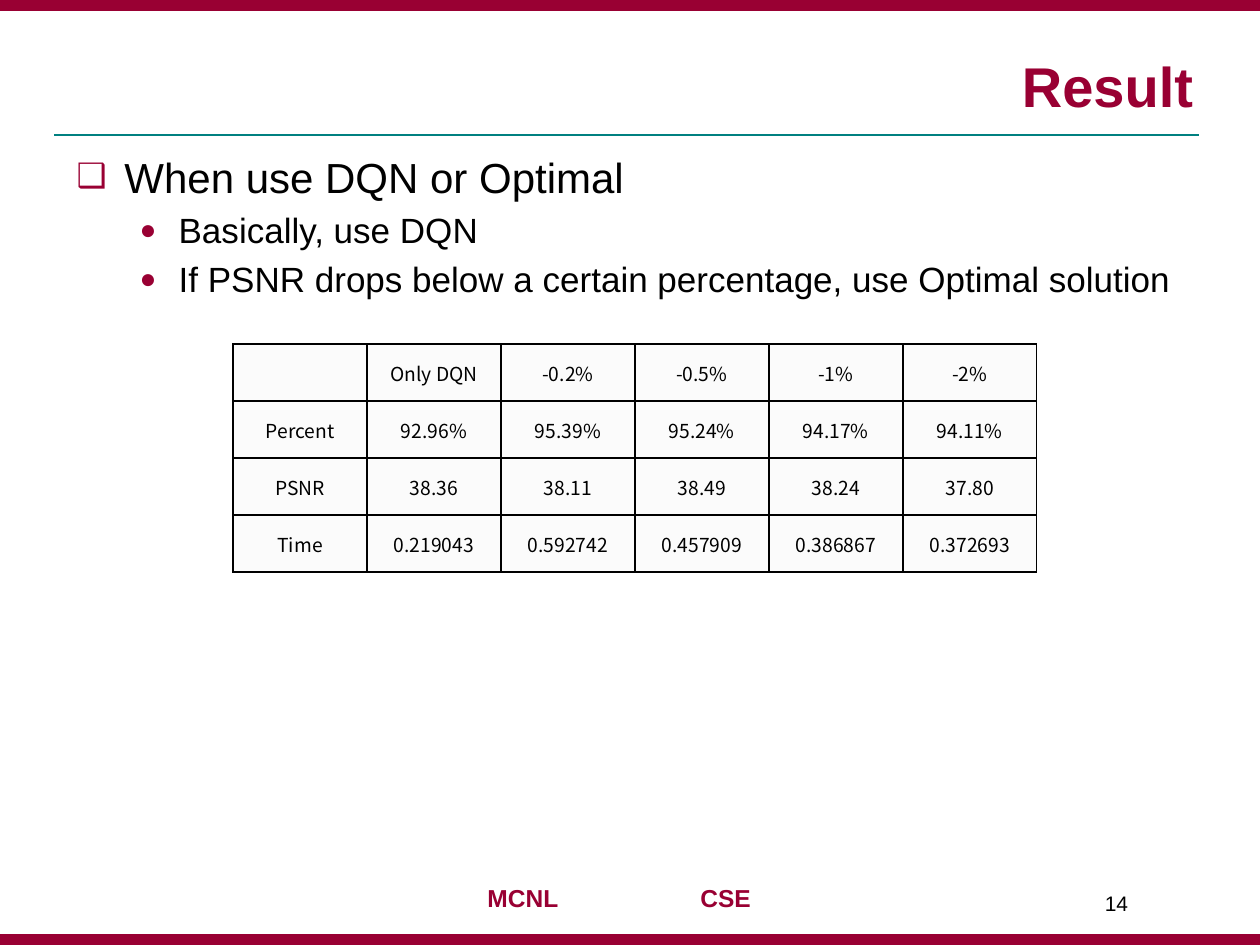
from lxml.etree import SubElement
from pptx import Presentation
from pptx.dml.color import RGBColor
from pptx.enum.shapes import MSO_CONNECTOR, MSO_SHAPE
from pptx.enum.text import MSO_ANCHOR, MSO_AUTO_SIZE, PP_ALIGN
from pptx.oxml import parse_xml
from pptx.oxml.ns import nsdecls, qn
from pptx.util import Inches, Pt

RED, TEAL, BLACK, PALE = "990033", "008080", "000000", "FBFBFB"


def color(text):
    """Turn a hex string into a colour."""
    return RGBColor.from_string(text)


def box(*sizes):
    """Turn inch values into lengths."""
    return [Inches(size) for size in sizes]


class Page:
    """Holds the style and the current slide."""

    font = "Arial"
    cell_font = "Noto Sans CJK KR"

    def __init__(self, deck):
        """Add a title-only slide to the deck."""
        self.slide = deck.slides.add_slide(deck.slide_layouts[5])
        self.shapes = self.slide.shapes

    def style(self, para, size, hue=BLACK, bold=False, font=None):
        """Format every run of a paragraph."""
        for run in para.runs:
            run.font.name = font or self.font
            run.font.size = Pt(size)
            run.font.bold = bold
            run.font.color.rgb = color(hue)

    def title(self, text, *place):
        """Fill and place the title."""
        head = self.shapes.title
        head.left, head.top, head.width, head.height = box(*place)
        frame = head.text_frame
        frame.text = text
        frame.auto_size = MSO_AUTO_SIZE.NONE
        frame.vertical_anchor = MSO_ANCHOR.BOTTOM
        frame.paragraphs[0].alignment = PP_ALIGN.RIGHT
        self.style(frame.paragraphs[0], 32, RED, True)

    def bar(self, *place):
        """Draw a solid red bar."""
        bar = self.shapes.add_shape(MSO_SHAPE.RECTANGLE, *box(*place))
        bar.shadow.inherit = False
        bar.fill.solid()
        bar.fill.fore_color.rgb = color(RED)
        bar.line.color.rgb = color(RED)
        bar.line.width = Pt(0.75)

    def rule(self, *ends):
        """Draw a thin teal line."""
        line = self.shapes.add_connector(MSO_CONNECTOR.STRAIGHT, *box(*ends))
        line.line.color.rgb = color(TEAL)
        line.line.width = Pt(1)
        SubElement(line._element.spPr, qn("a:effectLst"))

    def text(self, text, place, size, hue=BLACK, bold=False, tab=None):
        """Add a line of text, with a tab stop if given."""
        frame = self.shapes.add_textbox(*box(*place)).text_frame
        frame.word_wrap = True
        para = frame.paragraphs[0]
        para.text = text
        self.style(para, size, hue, bold)
        if tab:
            stops = SubElement(para._p.get_or_add_pPr(), qn("a:tabLst"))
            SubElement(stops, qn("a:tab"), pos=str(Inches(tab)), algn="l")

    def bullets(self, items, *place):
        """Add a list of (level, text) items."""
        looks = [(24, "\u2751", 0.38, 0.38), (20, "\u25cf", 0.81, 0.31)]
        frame = self.shapes.add_textbox(*box(*place)).text_frame
        frame.word_wrap = True
        for i, (level, text) in enumerate(items):
            size, mark, left, hang = looks[level]
            para = frame.add_paragraph() if i else frame.paragraphs[0]
            para.text = text
            para.level = level
            para.space_before = Pt(size * 0.2)
            self.style(para, size)
            props = para._p.get_or_add_pPr()
            props.set("marL", str(Inches(left)))
            props.set("indent", str(-Inches(hang)))
            tint = SubElement(props, qn("a:buClr"))
            SubElement(tint, qn("a:srgbClr"), val=RED)
            SubElement(props, qn("a:buSzPct"), val="80000")
            SubElement(props, qn("a:buFont"), typeface=self.font)
            SubElement(props, qn("a:buChar"), char=mark)

    def cell(self, cell, text):
        """Fill one table cell and draw its borders."""
        cell.text = text
        cell.vertical_anchor = MSO_ANCHOR.MIDDLE
        cell.margin_left = cell.margin_right = cell.margin_top = Inches(0.01)
        cell.margin_bottom = 0
        para = cell.text_frame.paragraphs[0]
        para.alignment = PP_ALIGN.CENTER
        para.font.size = Pt(11)
        self.style(para, 11, font=self.cell_font)
        cell.fill.solid()
        cell.fill.fore_color.rgb = color(PALE)
        props = cell._tc.get_or_add_tcPr()
        for i, side in enumerate(("lnL", "lnR", "lnT", "lnB")):
            props.insert(i, parse_xml(
                f'<a:{side} {nsdecls("a")} w="{Pt(1)}"><a:solidFill>'
                f'<a:srgbClr val="{BLACK}"/></a:solidFill></a:{side}>'))

    def table(self, rows, *place):
        """Add a table with equal rows and columns."""
        grid = self.shapes.add_table(len(rows), len(rows[0]), *box(*place)).table
        grid.first_row = grid.horz_banding = False
        for r, row in enumerate(rows):
            for c, text in enumerate(row):
                self.cell(grid.cell(r, c), text)


def main():
    """Build and save the deck."""
    deck = Presentation()
    deck.slide_width, deck.slide_height = box(10, 7.5)
    page = Page(deck)
    page.rule(0.43, 1.07, 9.52, 1.07)
    for top in (7.42, 0):
        page.bar(0, top, 10, 0.08)
    page.text("MCNL\tCSE", (3.77, 6.96, 2.31, 0.34), 14, RED, True, tab=1.69)
    page.title("Result", 0.5, 0.25, 9.07, 0.74)
    page.text("14", (8.67, 7.02, 0.83, 0.4), 12)
    page.bullets([
        (0, "When use DQN or Optimal"),
        (1, "Basically, use DQN"),
        (1, "If PSNR drops below a certain percentage, use Optimal solution"),
    ], 0.51, 1.15, 9, 5.67)
    page.table([
        ["", "Only DQN", "-0.2%", "-0.5%", "-1%", "-2%"],
        ["Percent", "92.96%", "95.39%", "95.24%", "94.17%", "94.11%"],
        ["PSNR", "38.36", "38.11", "38.49", "38.24", "37.80"],
        ["Time", "0.219043", "0.592742", "0.457909", "0.386867", "0.372693"],
    ], 1.85, 2.73, 6.38, 1.81)
    deck.save("out.pptx")


main()
